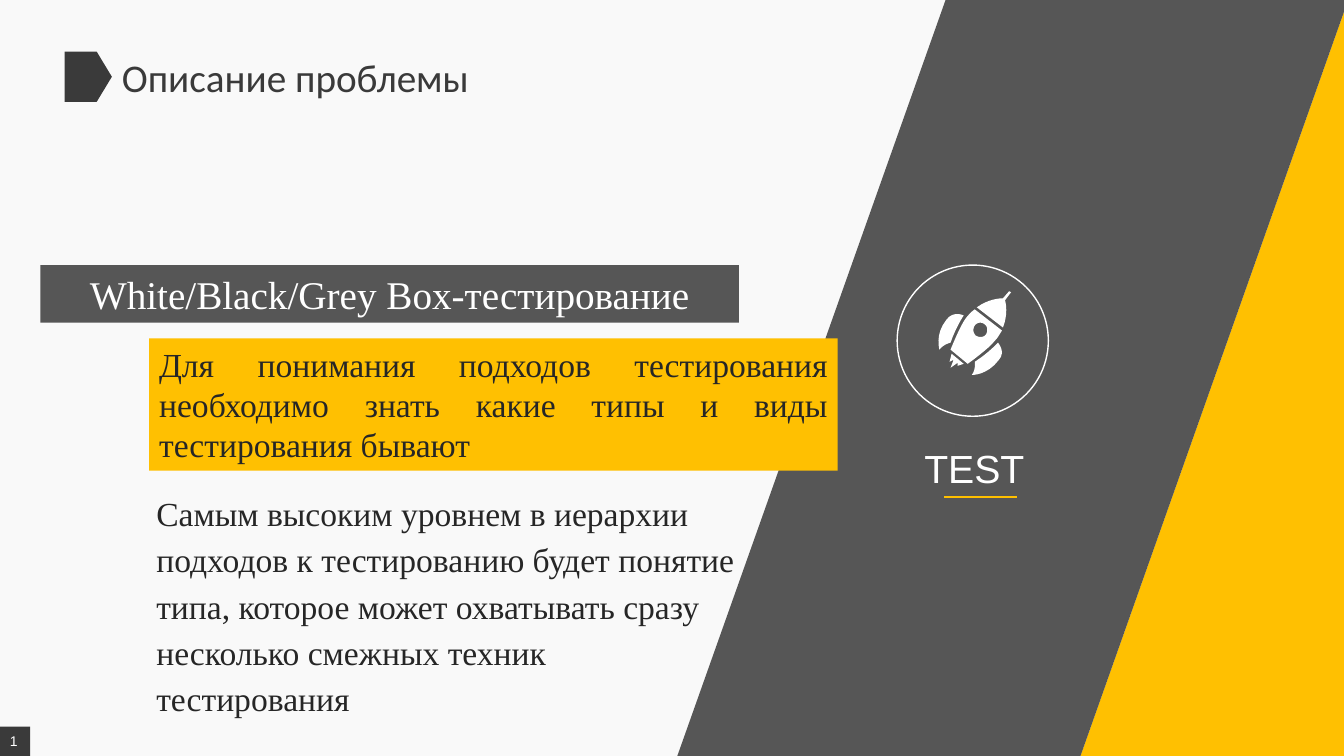
from lxml.etree import SubElement
from pptx import Presentation
from pptx.dml.color import RGBColor
from pptx.enum.shapes import MSO_CONNECTOR, MSO_SHAPE
from pptx.enum.text import MSO_ANCHOR, MSO_AUTO_SIZE, PP_ALIGN
from pptx.oxml.ns import qn
from pptx.util import Cm, Pt

PAPER = RGBColor(0xF9, 0xF9, 0xF9)
WHITE = RGBColor(0xFF, 0xFF, 0xFF)
GREY = RGBColor(0x56, 0x56, 0x56)
CHARCOAL = RGBColor(0x3A, 0x3A, 0x3A)
INK = RGBColor(0x26, 0x26, 0x26)
YELLOW = RGBColor(0xFF, 0xC0, 0x01)
UNDERLINE = RGBColor(0xFF, 0xC0, 0x00)
SERIF = "Times New Roman"

# Each contour is a start point followed by lines (x, y) and cubic curves
# (x1, y1, x2, y2, x, y), on a grid where the surrounding circle is 150 wide.
ROCKET_GRID = 150
ROCKET = [
    [(74, 109), (74, 109, 78, 105, 77, 96), (91, 87, 100, 77, 100, 77),
     (100, 77, 108, 86, 101, 94), (89, 110, 74, 109, 74, 109)],
    [(53, 84), (53, 84, 62, 61, 68, 53), (71, 49, 74, 46, 77, 44), (104, 65),
     (102, 68, 100, 72, 97, 75), (91, 83, 70, 98, 70, 98)],
    [(87, 59), (84, 56, 79, 57, 77, 60), (75, 63, 75, 67, 78, 70),
     (81, 72, 86, 72, 88, 69), (90, 66, 90, 61, 87, 59)],
    [(105, 33), (111, 26), (113, 27), (107, 35), (108, 38, 110, 49, 105, 62),
     (79, 42), (90, 34, 101, 33, 105, 33)],
    [(42, 84), (42, 84, 37, 69, 49, 54), (56, 45, 66, 50, 66, 50),
     (66, 50, 58, 62, 53, 77), (45, 79, 42, 84, 42, 84)],
    [(60, 100), (60, 97), (53, 102), (56, 94), (52, 96), (54, 88), (66, 98)],
]


def flatten(contour, steps=8):
    """Return the contour as points, with its curves sampled."""
    points = [contour[0]]
    for segment in contour[1:]:
        if len(segment) == 2:
            points.append(segment)
            continue
        controls = [points[-1], segment[:2], segment[2:4], segment[4:]]
        for step in range(1, steps + 1):
            t = step / steps
            weights = ((1 - t) ** 3, 3 * t * (1 - t) ** 2, 3 * t * t * (1 - t), t ** 3)
            points.append(tuple(sum(weight * control[axis]
                                    for weight, control in zip(weights, controls))
                                for axis in (0, 1)))
    return points


def paint(shape, color):
    shape.shadow.inherit = False
    shape.fill.solid()
    shape.fill.fore_color.rgb = color
    shape.line.fill.background()


def add_outline(slide, contours, color):
    """Draw closed contours, given in EMU, as one filled shape."""
    first, *others = contours
    builder = slide.shapes.build_freeform(*first[0], scale=1.0)
    builder.add_line_segments(first[1:], close=True)
    for contour in others:
        builder.move_to(*contour[0])
        builder.add_line_segments(contour[1:], close=True)
    paint(builder.convert_to_shape(), color)


def add_block(slide, kind, box, color):
    block = slide.shapes.add_shape(kind, *box)
    paint(block, color)
    return block


def write(shape, text, size, font, color, align=PP_ALIGN.LEFT, anchor=MSO_ANCHOR.TOP):
    frame = shape.text_frame
    frame.word_wrap = True
    frame.auto_size = MSO_AUTO_SIZE.NONE
    frame.vertical_anchor = anchor
    frame.text = text
    paragraph = frame.paragraphs[0]
    paragraph.alignment = align
    paragraph.font.size = Pt(size)
    paragraph.font.name = font
    paragraph.font.color.rgb = color
    return paragraph


def add_slanted_panels(slide, width, height):
    slant = Cm(10.14)
    grey_top, yellow_foot = Cm(23.83), Cm(27.23)
    yellow_top = Cm(0.3)
    add_outline(slide, [[(width, yellow_top), (width, height),
                         (yellow_foot, height)]], YELLOW)
    add_outline(slide, [[(grey_top, 0), (width, 0), (width, yellow_top),
                         (yellow_foot, height),
                         (grey_top - Cm(6.76), height)]], GREY)


def add_badge(slide, left, top, size):
    """Place the circled rocket with its underlined caption below."""
    circle = slide.shapes.add_shape(MSO_SHAPE.OVAL, left, top, size, size)
    circle.shadow.inherit = False
    circle.fill.background()
    circle.line.color.rgb = WHITE
    circle.line.width = Pt(1)

    unit = size / ROCKET_GRID
    add_outline(slide, [[(round(left + x * unit), round(top + y * unit))
                         for x, y in flatten(contour)] for contour in ROCKET], WHITE)

    caption = slide.shapes.add_textbox(left - Cm(4.14), top + Cm(4.39), Cm(12.17), Cm(1.45))
    write(caption, "TEST", 28, "Arial", WHITE, PP_ALIGN.CENTER)

    line_left, line_top = left + Cm(1.19), top + Cm(5.84)
    underline = slide.shapes.add_connector(
        MSO_CONNECTOR.STRAIGHT, line_left, line_top, line_left + Cm(1.83), line_top)
    underline.line.color.rgb = UNDERLINE
    underline.line.width = Pt(1.75)
    SubElement(underline._element.spPr, qn("a:effectLst"))


def add_heading(slide, left, top):
    marker = add_block(slide, MSO_SHAPE.PENTAGON, (left, top, Cm(1.19), Cm(1.27)), CHARCOAL)
    marker.adjustments[0] = 0.322
    title = slide.shapes.title
    title.left, title.top = left + Cm(1.19), top - Cm(0.08)
    title.width, title.height = Cm(11.76), Cm(1.45)
    write(title, "Описание проблемы", 28, "Calibri", CHARCOAL)


def add_explanation(slide, left, top):
    banner = add_block(slide, MSO_SHAPE.RECTANGLE, (left, top, Cm(17.6), Cm(1.45)), GREY)
    write(banner, "White/Black/Grey Box-тестирование", 28, SERIF, WHITE, PP_ALIGN.CENTER)

    callout = add_block(slide, MSO_SHAPE.RECTANGLE,
                        (left + Cm(2.74), top + Cm(1.85), Cm(17.35), Cm(3.33)), YELLOW)
    write(callout, "Для понимания подходов тестирования необходимо знать "
          "какие типы и виды тестирования бывают", 24, SERIF, INK, PP_ALIGN.JUSTIFY)

    body = slide.shapes.add_textbox(left + Cm(2.67), top + Cm(5.46), Cm(15.14), Cm(6.15))
    paragraph = write(body, "Самым высоким уровнем в иерархии подходов к тестированию "
                      "будет понятие типа, которое может охватывать сразу несколько "
                      "смежных техник тестирования", 24, SERIF, INK)
    paragraph.line_spacing = 1.15


def add_page_number(slide, slide_height):
    height = Cm(0.74)
    tab = add_block(slide, MSO_SHAPE.RECTANGLE,
                    (0, slide_height - height, Cm(0.76), height), CHARCOAL)
    write(tab, "1", 10, "Arial", WHITE, anchor=MSO_ANCHOR.MIDDLE)


def main():
    presentation = Presentation()
    width, height = Cm(33.87), Cm(19.05)
    presentation.slide_width, presentation.slide_height = width, height
    slide = presentation.slides.add_slide(presentation.slide_layouts.get_by_name("Title Only"))
    slide.background.fill.solid()
    slide.background.fill.fore_color.rgb = PAPER

    add_slanted_panels(slide, width, height)
    add_badge(slide, Cm(22.61), Cm(6.68), Cm(3.81))
    add_heading(slide, Cm(1.63), Cm(1.3))
    add_explanation(slide, Cm(1.02), Cm(6.68))
    add_page_number(slide, height)
    presentation.save("out.pptx")


if __name__ == "__main__":
    main()
